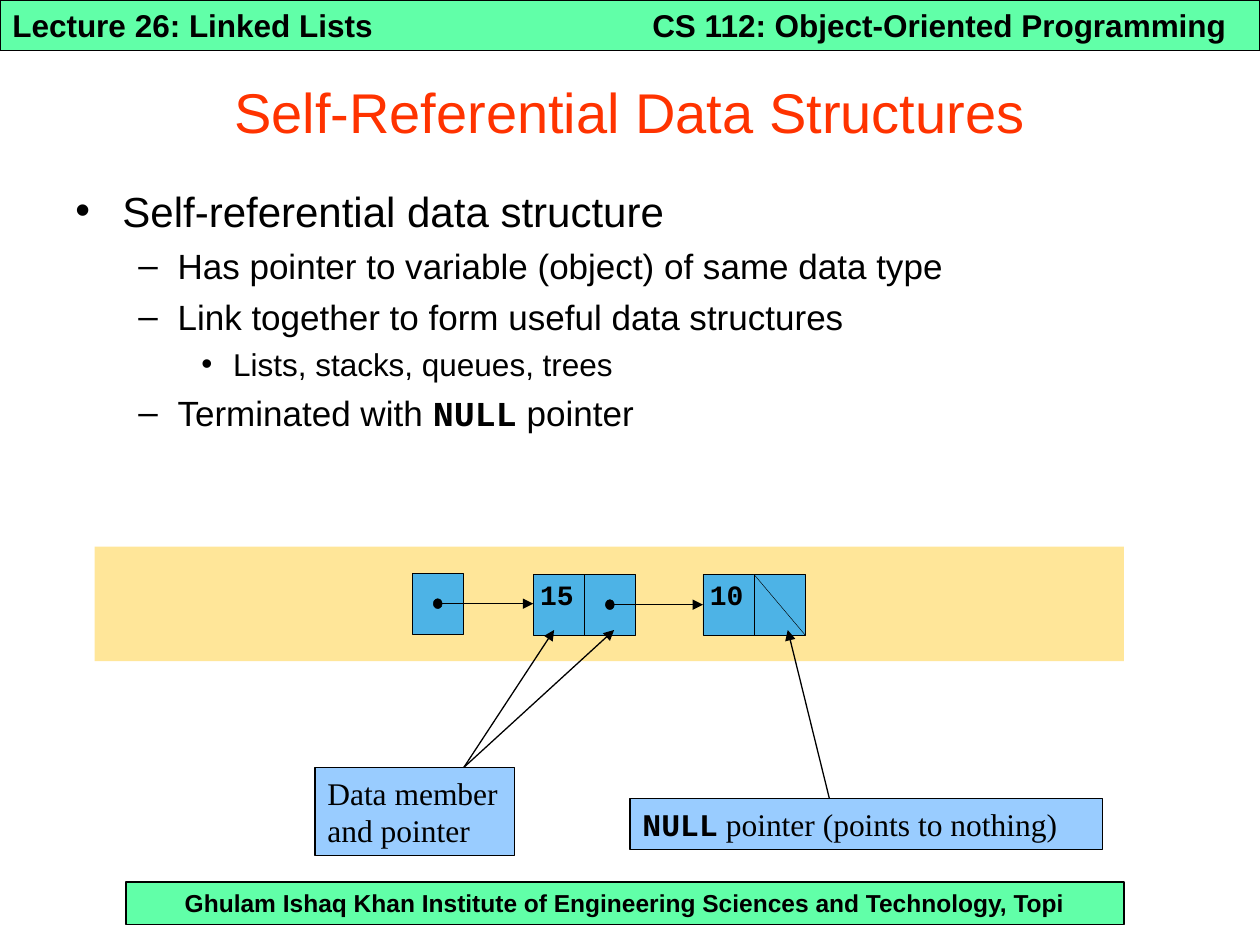
from pptx import Presentation
from pptx.dml.color import RGBColor
from pptx.enum.shapes import MSO_CONNECTOR, MSO_SHAPE
from pptx.enum.text import MSO_ANCHOR, PP_ALIGN
from pptx.oxml.ns import qn
from pptx.util import Cm, Pt
from lxml import etree

RECT, OVAL = MSO_SHAPE.RECTANGLE, MSO_SHAPE.OVAL
STRAIGHT = MSO_CONNECTOR.STRAIGHT
LEFT, CENTER = PP_ALIGN.LEFT, PP_ALIGN.CENTER
TOP, MIDDLE = MSO_ANCHOR.TOP, MSO_ANCHOR.MIDDLE

COLORS = {"ink": "000000", "bar": "61FFA8", "title": "FF3300",
          "band": "FFE699", "node": "4DB3E6", "note": "99CCFF"}
SANS, MONO, SERIF = "Arial", "Courier New", "Times New Roman"

# Bullet character, left margin (cm), hanging indent (cm), size, space before
LEVELS = [("•", 0.95, 0.95, 24, 6), ("–", 2.06, 0.79, 20, 5), ("•", 3.18, 0.64, 18, 4.5)]
BODY = [
    (0, [("Self-referential data structure", SANS, False)]),
    (1, [("Has pointer to variable (object) of same data type", SANS, False)]),
    (1, [("Link together to form useful data structures", SANS, False)]),
    (2, [("Lists, stacks, queues, trees", SANS, False)]),
    (1, [("Terminated with ", SANS, False), ("NULL", MONO, True), (" pointer", SANS, False)]),
]

CELL_W, CELL_H = 1.03, 1.22
START_X, START_Y = 8.31, 11.56
NODE_Y = 11.58
NODES = [(10.75, "15"), (14.17, "10")]


def rgb(name):
    return RGBColor.from_string(COLORS[name])


def add_run(p, text, size, font=SANS, bold=False, color="ink"):
    r = p.add_run()
    r.text = text
    r.font.name, r.font.size, r.font.bold = font, Pt(size), bold
    r.font.color.rgb = rgb(color)


def write(tf, runs, size, align=LEFT, anchor=TOP, color="ink"):
    tf.word_wrap = True
    tf.vertical_anchor = anchor
    p = tf.paragraphs[0]
    p.alignment = align
    for text, font, bold in runs:
        add_run(p, text, size, font, bold, color)
    return p


def add_text(s, x, y, w, h, runs, size):
    tf = s.shapes.add_textbox(Cm(x), Cm(y), Cm(w), Cm(h)).text_frame
    return tf, write(tf, runs, size)


def add_box(s, x, y, w, h, fill, line=None, kind=RECT):
    sp = s.shapes.add_shape(kind, Cm(x), Cm(y), Cm(w), Cm(h))
    sp.shadow.inherit = False
    sp.fill.solid()
    sp.fill.fore_color.rgb = rgb(fill)
    if line:
        sp.line.color.rgb = rgb("ink")
        sp.line.width = Pt(line)
    else:
        sp.line.fill.background()
    return sp


def add_label(s, x, y, w, h, fill, runs, size=18, align=LEFT):
    sp = add_box(s, x, y, w, h, fill, 0.75)
    write(sp.text_frame, runs, size, align)


def add_line(s, x1, y1, x2, y2, width, arrow=True):
    c = s.shapes.add_connector(STRAIGHT, Cm(x1), Cm(y1), Cm(x2), Cm(y2))
    c.line.color.rgb = rgb("ink")
    c.line.width = Pt(width)
    if arrow:
        etree.SubElement(c.line._get_or_add_ln(), qn("a:tailEnd"), type="triangle")
    etree.SubElement(c._element.spPr, qn("a:effectLst"))


def add_pointer(s, cell_x, cell_y, end_x):
    """Dot in the middle of a cell with an arrow to the next node."""
    x, y = cell_x + CELL_W / 2, cell_y + CELL_H / 2
    add_box(s, x - 0.09, y - 0.1, 0.18, 0.2, "ink", 0.25, OVAL)
    add_line(s, x, y, end_x, y, 0.25)


def add_bullets(s):
    tf, first = add_text(s, 1.27, 3.61, 23.06, 14.17, [], 24)
    for i, (level, runs) in enumerate(BODY):
        char, margin, hang, size, before = LEVELS[level]
        p = tf.add_paragraph() if i else first
        p.level = level
        pPr = p._p.get_or_add_pPr()
        pPr.set("marL", str(Cm(margin)))
        pPr.set("indent", str(-Cm(hang)))
        etree.SubElement(pPr, qn("a:buFont"), typeface=SANS)
        etree.SubElement(pPr, qn("a:buChar"), char=char)
        if i:
            p.space_before = Pt(before)
        for text, font, bold in runs:
            add_run(p, text, size, font, bold)


def add_linked_list(s):
    add_box(s, 1.91, 11.02, 20.75, 2.31, "band")
    add_box(s, START_X, START_Y, CELL_W, CELL_H, "node", 0.25)
    for x, value in NODES:
        for i in range(2):
            add_box(s, x + i * CELL_W, NODE_Y, CELL_W, CELL_H, "node", 0.25)
        tf, p = add_text(s, x + 0.14, 11.81, 0.75, 0.89, [(value, MONO, True)], 16)
        tf.margin_left = tf.margin_right = tf.margin_top = tf.margin_bottom = 0
        p.line_spacing = 0.72
    first_x, last_x = NODES[0][0], NODES[1][0]
    add_pointer(s, START_X, START_Y, first_x)
    add_pointer(s, first_x + CELL_W, NODE_Y, last_x)
    # Slash for the null pointer
    add_line(s, last_x + CELL_W, NODE_Y, last_x + 2 * CELL_W, NODE_Y + CELL_H, 0.25, False)


def add_notes_on_list(s):
    add_label(s, 12.7, 16.1, 9.53, 1.02, "note",
              [("NULL", MONO, True), (" pointer (points to nothing)", SERIF, False)])
    add_line(s, 16.72, 16.1, 15.88, 12.7, 0.75)
    add_label(s, 6.35, 15.47, 4.02, 1.78, "note", [("Data member and pointer", SERIF, False)])
    for x in (11.17, 12.38):
        add_line(s, 9.35, 15.47, x, 12.7, 0.75)


def main():
    prs = Presentation()
    prs.slide_width, prs.slide_height = Cm(25.4), Cm(19.05)
    s = prs.slides.add_slide(prs.slide_layouts[5])

    # Footer and header bars
    add_label(s, 2.54, 17.78, 20.12, 0.86, "bar",
              [("Ghulam Ishaq Khan Institute of Engineering Sciences and Technology, Topi", SANS, True)],
              14, CENTER)
    add_label(s, 0, 0, 25.4, 1.02, "bar", [("Lecture 26: Linked Lists", SANS, True)])
    add_text(s, 12.9, 0, 12.5, 1.02, [("CS 112: Object-Oriented Programming", SANS, True)], 18)

    # Title
    title = s.shapes.title
    title.left, title.top, title.width, title.height = Cm(0), Cm(1.07), Cm(25.4), Cm(2.34)
    write(title.text_frame, [("Self-Referential Data Structures", SANS, False)],
          32, CENTER, MIDDLE, "title")

    # Content
    add_bullets(s)
    add_linked_list(s)
    add_notes_on_list(s)
    prs.save("out.pptx")


if __name__ == "__main__":
    main()
